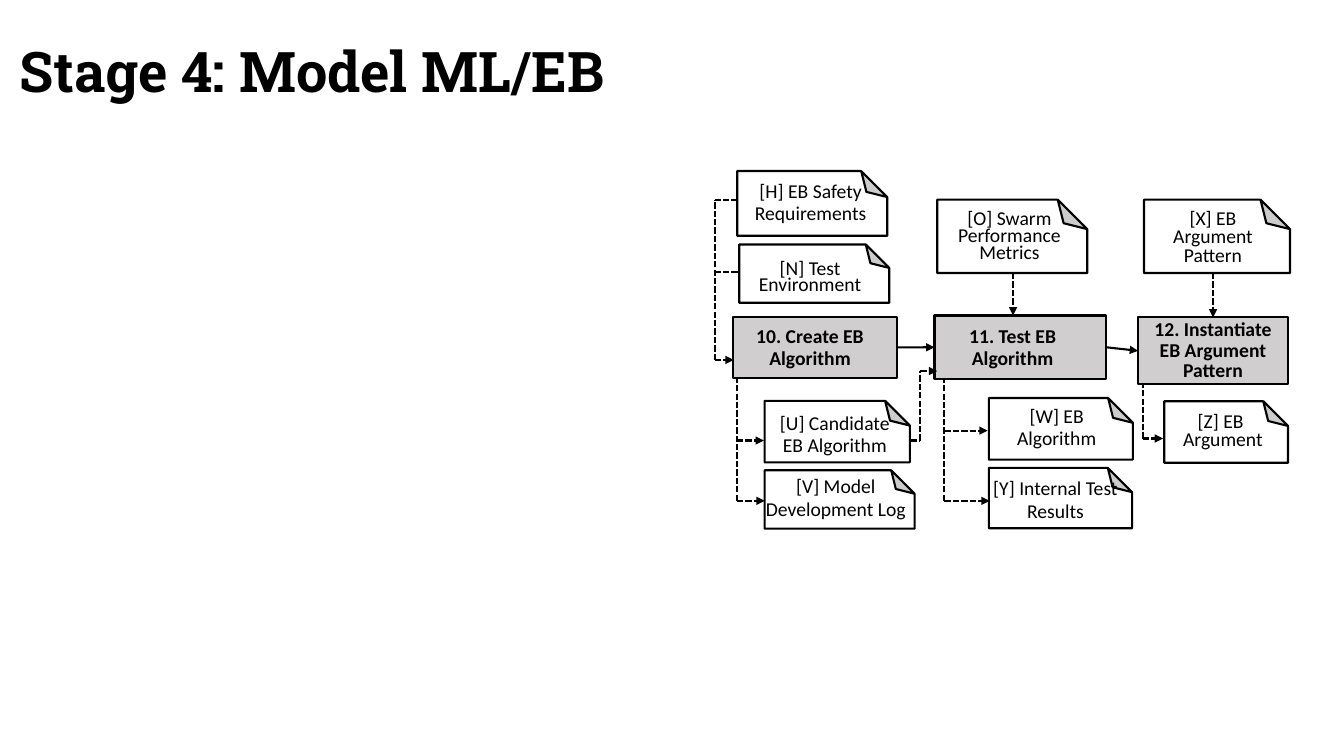
from pptx import Presentation
from pptx.dml.color import RGBColor
from pptx.enum.dml import MSO_LINE
from pptx.enum.shapes import MSO_CONNECTOR, MSO_SHAPE
from pptx.enum.text import MSO_ANCHOR, MSO_AUTO_SIZE, PP_ALIGN
from pptx.oxml.ns import qn
from pptx.util import Cm, Pt
from lxml.etree import SubElement

COLORS = {"ink": "000000", "paper": "FFFFFF", "process": "D0CECE"}


def style_shape(shape, fill):
    shape.shadow.inherit = False
    shape.fill.solid()
    shape.fill.fore_color.rgb = RGBColor.from_string(COLORS[fill])
    shape.line.color.rgb = RGBColor.from_string(COLORS["ink"])
    shape.line.width = Pt(1.5)


def write_text(frame, text, spacing, size=14, bold=False, font="Calibri", align=PP_ALIGN.CENTER):
    frame.word_wrap = True
    frame.text = text
    para = frame.paragraphs[0]
    para.alignment = align
    para.line_spacing = spacing
    para.font.name = font
    para.font.size = Pt(size)
    para.font.bold = bold
    para.font.color.rgb = RGBColor.from_string(COLORS["ink"])


deck = Presentation()
deck.slide_width, deck.slide_height = Cm(33.87), Cm(19.05)
page = deck.slides.add_slide(deck.slide_layouts[5])

title = page.shapes.title
title.left, title.top, title.width, title.height = Cm(0.23), Cm(0.58), Cm(32.56), Cm(2.77)
title.text_frame.vertical_anchor = MSO_ANCHOR.MIDDLE
write_text(title.text_frame, "Stage 4: Model ML/EB", 0.7, 40, True, "Roboto Slab", PP_ALIGN.LEFT)
title.text_frame.auto_size = MSO_AUTO_SIZE.NONE

processes = [
    ("10. Create EB Algorithm", 18.47, 7.98, 4.14, 1.55, 0.5, 16),
    ("11. Test EB Algorithm", 23.55, 7.95, 4.32, 1.6, 0.63, 16),
    ("12. Instantiate EB Argument Pattern", 28.68, 8, 3.78, 1.68, 0.25, 14.7),
]
process_boxes = []
for text, left, top, width, height, right_inset, spacing in processes:
    box = page.shapes.add_shape(MSO_SHAPE.RECTANGLE, Cm(left), Cm(top), Cm(width), Cm(height))
    style_shape(box, "process")
    box.text_frame.vertical_anchor = MSO_ANCHOR.MIDDLE
    box.text_frame.margin_left = Cm(0.25)
    box.text_frame.margin_right = Cm(right_inset)
    box.text_frame.margin_top = box.text_frame.margin_bottom = 0
    write_text(box.text_frame, text, Pt(spacing), bold=True)
    process_boxes.append(box)

WIDE, NARROW = (0.33, 0.18), (0.25, 0.13)
notes = [
    ("[H] EB Safety Requirements", (18.58, 4.31, 3.78, 1.63), (18.54, 4.42, 3.78, 1.4), NARROW, 15.8),
    ("[N] Test Environment", (18.63, 6.16, 3.78, 1.47), (18.42, 6.43, 3.99, 1.22), WIDE, 12),
    ("[O] Swarm Performance Metrics", (23.62, 5.03, 3.78, 1.85), (23.55, 5.18, 3.78, 1.65), WIDE, 12),
    ("[X] EB Argument Pattern", (28.83, 5.03, 3.68, 1.85), (28.68, 5.18, 3.78, 1.65), NARROW, 13.3),
    ("[U] Candidate EB Algorithm", (19.27, 10.1, 3.66, 1.55), (19.15, 10.21, 3.78, 1.47), WIDE, 15.8),
    ("[V] Model Development Log", (19.27, 11.85, 3.78, 1.47), (19.02, 11.86, 4.09, 1.4), NARROW, 15.8),
    ("[W] EB Algorithm", (24.92, 10.03, 3.63, 1.55), (24.74, 10.03, 3.78, 1.47), WIDE, 15.8),
    ("[Y] Internal Test Results", (24.92, 11.79, 3.61, 1.52), (24.71, 11.91, 3.78, 1.4), NARROW, 15.8),
    ("[Z] EB \vArgument", (29.34, 10.11, 3.12, 1.55), (28.93, 10.29, 3.78, 1.19), NARROW, 13.3),
]
for text, (left, top, width, height), label_frame, (inset_x, inset_y), spacing in notes:
    shift = (width - height) / 2
    note = page.shapes.add_shape(
        MSO_SHAPE.FOLDED_CORNER, Cm(left + shift), Cm(top - shift), Cm(height), Cm(width))
    note.rotation = 270
    geometry = note.element.spPr.find(qn("a:prstGeom"))
    fold_list = geometry.find(qn("a:avLst"))
    if fold_list is None:
        fold_list = SubElement(geometry, qn("a:avLst"))
    SubElement(fold_list, qn("a:gd"), name="adj", fmla="val 40200")
    style_shape(note, "paper")

    label = page.shapes.add_textbox(*[Cm(length) for length in label_frame])
    frame = label.text_frame
    frame.margin_left = frame.margin_right = Cm(inset_x)
    frame.margin_top = frame.margin_bottom = Cm(inset_y)
    write_text(frame, text, Pt(spacing))
    frame.auto_size = MSO_AUTO_SIZE.SHAPE_TO_FIT_TEXT

create, test, instantiate = process_boxes
links = [
    ((22.61, 8.75), (23.55, 8.75), False, True, create, test, 1),
    ((27.87, 8.75), (28.68, 8.84), False, True, test, instantiate, 1),
    ((30.57, 6.88), (30.57, 8), True, True, None, instantiate, 0),
]
dashed_arrows = [
    ((25.53, 6.88), (25.53, 7.95)),
    ((23.19, 9.35), (23.62, 9.35)),
    ((18.57, 11.1), (19.25, 11.1)),
    ((18.57, 12.62), (19.27, 12.62)),
    ((28.8, 11.05), (29.31, 11.05)),
    ((23.8, 10.85), (24.89, 10.85)),
    ((23.8, 12.62), (24.94, 12.62)),
    ((18.01, 9.07), (18.49, 9.07)),
]
dashed_lines = [
    ((18.57, 12.62), (18.57, 9.53)),
    ((28.8, 11.05), (28.8, 9.68)),
    ((23.19, 11.1), (23.19, 9.35)),
    ((22.94, 11.1), (23.19, 11.1)),
    ((23.8, 12.62), (23.8, 9.55)),
    ((18.01, 9.07), (18.01, 5.03)),
    ((18.01, 6.86), (18.64, 6.86)),
    ((18.01, 5.03), (18.57, 5.03)),
]
links += [(start, end, True, True, None, None, None) for start, end in dashed_arrows]
links += [(start, end, True, False, None, None, None) for start, end in dashed_lines]

for start, end, dashed, arrow, start_box, end_box, end_side in links:
    link = page.shapes.add_connector(
        MSO_CONNECTOR.STRAIGHT, *[Cm(length) for length in start + end])
    if start_box:
        link.begin_connect(start_box, 3)
    if end_box:
        link.end_connect(end_box, end_side)
    link.line.color.rgb = RGBColor.from_string(COLORS["ink"])
    link.line.width = Pt(1.5)
    if dashed:
        link.line.dash_style = MSO_LINE.SQUARE_DOT
    properties = link.element.spPr
    if arrow:
        SubElement(properties.find(qn("a:ln")), qn("a:tailEnd"), type="triangle")
    SubElement(properties, qn("a:effectLst"))

deck.save("out.pptx")
